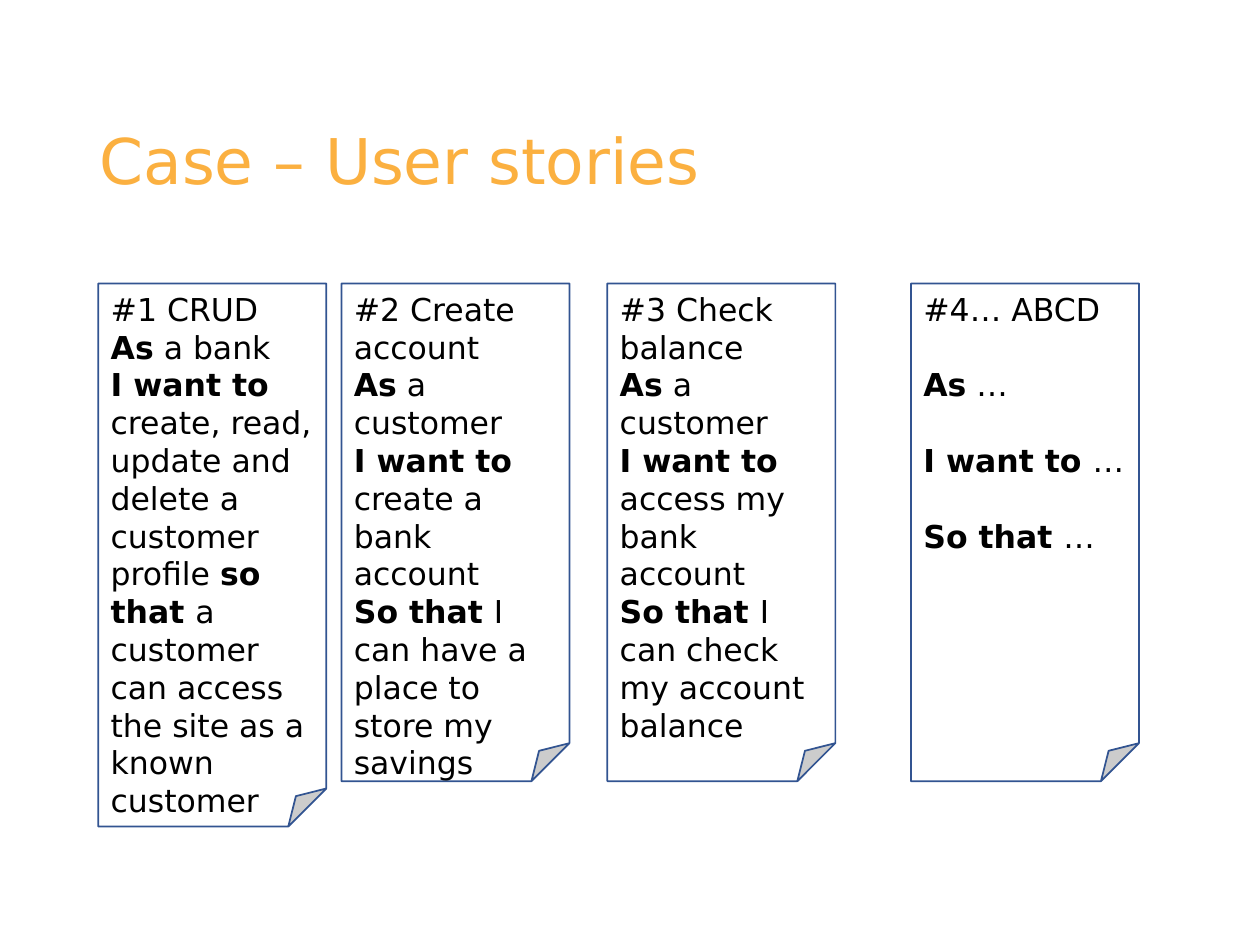
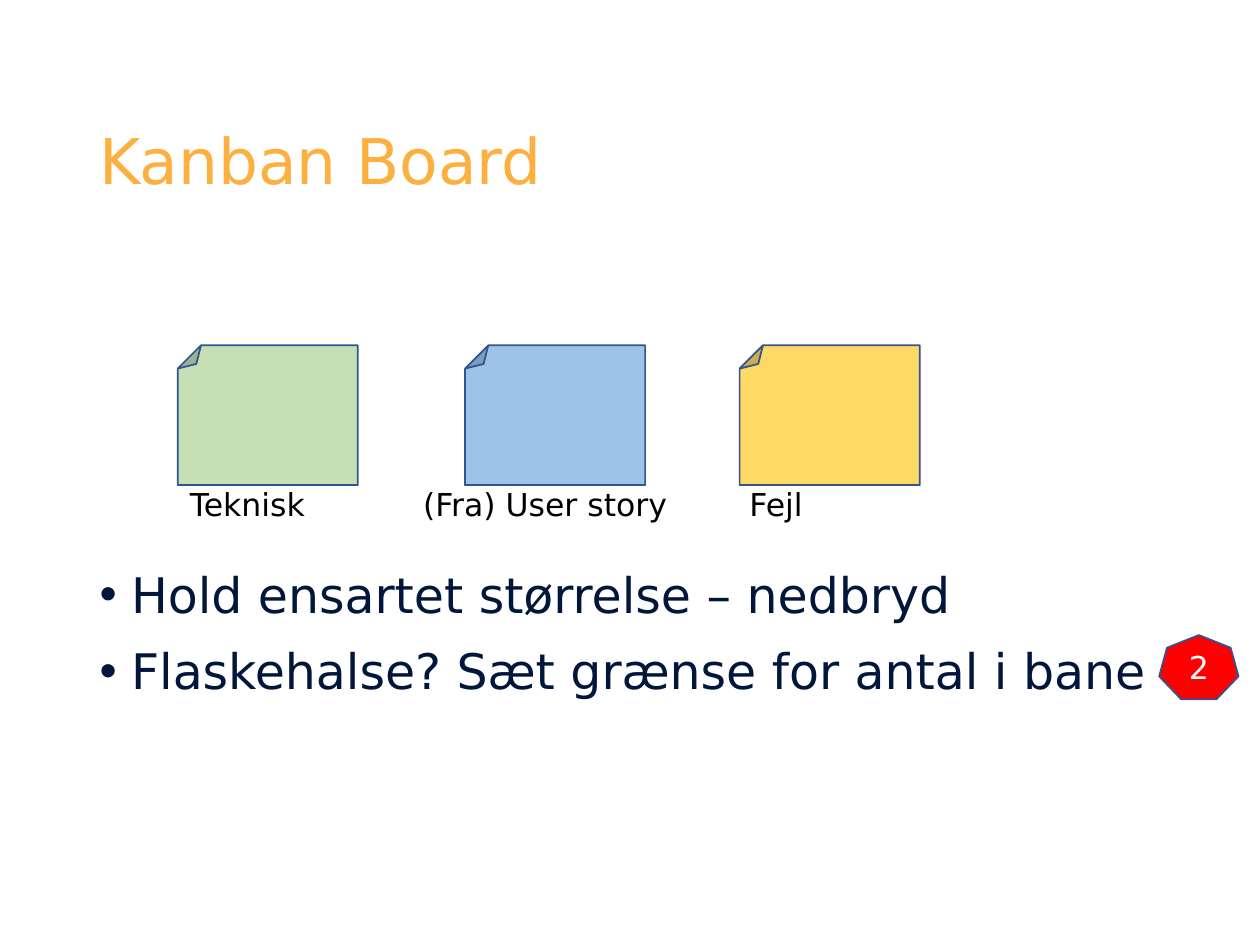
import pptx
import pptx.util
import pptx.dml.color
import pptx.enum.shapes
import pptx.enum.text
import pptx.oxml.ns
from lxml import etree
from pptx.util import Inches, Pt
from pptx.dml.color import RGBColor

FONT = "DejaVu Sans"
ORANGE = RGBColor(0xFB, 0xB0, 0x40)
NAVY = RGBColor(0x00, 0x16, 0x3B)
OUTLINE = RGBColor(0x32, 0x54, 0x91)
BLACK = RGBColor(0x00, 0x00, 0x00)
WHITE = RGBColor(0xFF, 0xFF, 0xFF)
GREEN = RGBColor(0xC5, 0xE0, 0xB4)
BLUE = RGBColor(0x9D, 0xC3, 0xE6)
YELLOW = RGBColor(0xFF, 0xD9, 0x66)
RED = RGBColor(0xFF, 0x00, 0x00)

SHAPES = pptx.enum.shapes.MSO_SHAPE
ALIGN = pptx.enum.text.PP_ALIGN
ANCHOR = pptx.enum.text.MSO_ANCHOR
NO_FIT = pptx.enum.text.MSO_AUTO_SIZE.NONE
TITLE_ONLY, TITLE_AND_BODY = 5, 1


def write(frame, lines, size, color, align=ALIGN.LEFT, gap=0, bullet=False):
    """Fill a text frame, one paragraph a line; *stars* mark bold text."""
    frame.word_wrap = True
    for number, line in enumerate(lines):
        para = frame.add_paragraph() if number else frame.paragraphs[0]
        for part, words in enumerate(line.split("*")):
            if words:
                span = para.add_run()
                span.text = words
                if part % 2:
                    span.font.bold = True
        para.alignment = align
        para.space_before = Pt(gap if number else 0)
        if bullet:
            properties = para._p.get_or_add_pPr()
            properties.set("marL", str(Inches(0.25)))
            properties.set("indent", str(Inches(-0.25)))
            mark = etree.SubElement(properties, pptx.oxml.ns.qn("a:buChar"))
            mark.set("char", "•")
        para.font.name = FONT
        para.font.size = Pt(size)
        para.font.color.rgb = color


def add_outlined(page, kind, left, top, width, height, fill):
    """Add a filled shape with the thin blue outline."""
    shape = page.shapes.add_shape(
        kind, Inches(left), Inches(top), Inches(width), Inches(height))
    shape.shadow.inherit = False
    shape.fill.solid()
    shape.fill.fore_color.rgb = fill
    shape.line.color.rgb = OUTLINE
    shape.line.width = Pt(1)
    return shape


deck = pptx.Presentation()
deck.slide_width, deck.slide_height = Inches(10), Inches(7.5)

# Pages with their shared title style
pages = []
for heading, layout in (("Case – User stories", TITLE_ONLY),
                        ("Kanban Board", TITLE_AND_BODY)):
    page = deck.slides.add_slide(deck.slide_layouts[layout])
    title = page.shapes.title
    title.left, title.top = Inches(0.69), Inches(0.75)
    title.width, title.height = Inches(8.62), Inches(1.1)
    write(title.text_frame, [heading], 36, ORANGE)
    title.text_frame.paragraphs[0].line_spacing = 0.9
    title.text_frame.vertical_anchor = ANCHOR.MIDDLE
    title.text_frame.auto_size = NO_FIT
    pages.append(page)
stories_page, kanban_page = pages

# User story cards: left, height, paragraph gap, text
stories = [
    (0.78, 4.31, 0, ["#1 CRUD", "*As* a bank",
                     "*I want to *create, read, update and delete a customer "
                     "profile *so that *a customer can access the site as a "
                     "known customer"]),
    (2.71, 3.95, 0, ["#2 Create account", "*As* a customer",
                     "*I want to *create a bank account",
                     "*So that *I can have a place to store my savings"]),
    (4.82, 3.95, 0, ["#3 Check balance", "*As* a customer",
                     "*I want to *access my bank account",
                     "*So that *I can check my account balance"]),
    (7.23, 3.95, 21.6, ["#4… ABCD", "*As* …", "*I want to *…",
                        "*So that *…"]),
]
for left, height, gap, lines in stories:
    card = add_outlined(stories_page, SHAPES.FOLDED_CORNER,
                        left, 2.25, 1.81, height, WHITE)
    card.text_frame.vertical_anchor = ANCHOR.TOP
    write(card.text_frame, lines, 18, BLACK, gap=gap)

# Kanban advice list
body = kanban_page.placeholders[1]
body.left, body.top = Inches(0.69), Inches(4.43)
body.width, body.height = Inches(8.62), Inches(2.33)
body.text_frame.auto_size = NO_FIT
write(body.text_frame,
      ["Hold ensartet størrelse – nedbryd",
       "Flaskehalse? Sæt grænse for antal i bane"],
      28, NAVY, gap=10, bullet=True)

# Kanban notes with their labels
notes = [
    (1.41, GREEN, "Teknisk", 1.41, 1.34),
    (3.69, BLUE, "(Fra) User story", 3.26, 2.29),
    (5.87, YELLOW, "Fejl", 5.85, 1.34),
]
for left, fill, label, label_left, label_width in notes:
    note = add_outlined(kanban_page, SHAPES.FOLDED_CORNER,
                        left, 2.74, 1.43, 1.11, fill)
    note.rotation = 180
    box = kanban_page.shapes.add_textbox(
        Inches(label_left), Inches(3.8), Inches(label_width), Inches(0.4))
    write(box.text_frame, [label], 18, BLACK)

# Lane limit badge
badge = add_outlined(kanban_page, SHAPES.HEPTAGON, 9.2, 5.04, 0.63, 0.51, RED)
badge.text_frame.vertical_anchor = ANCHOR.MIDDLE
write(badge.text_frame, ["2"], 18, WHITE, align=ALIGN.CENTER)

deck.save("out.pptx")
